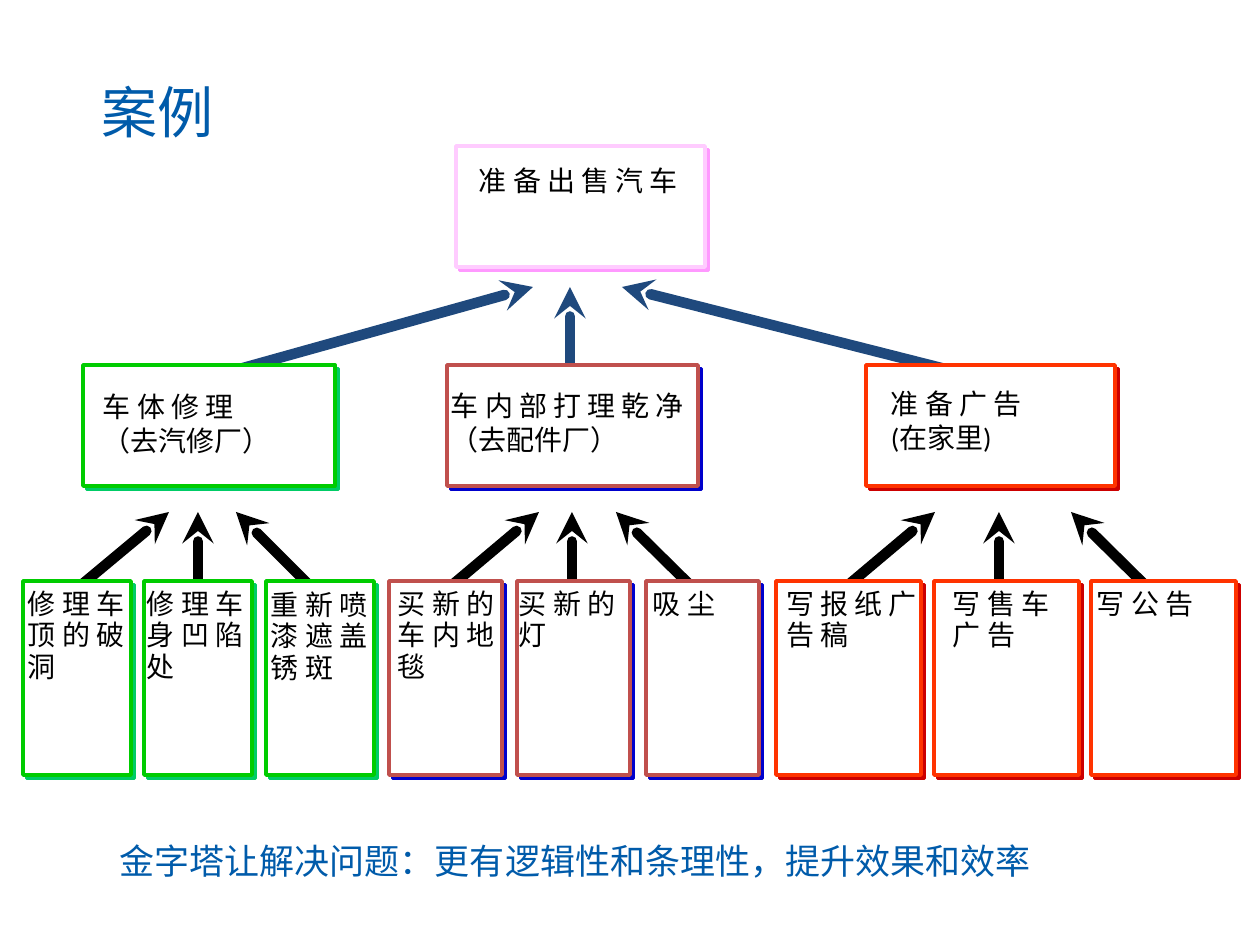
from lxml import etree
from pptx import Presentation
from pptx.dml.color import RGBColor
from pptx.enum.shapes import MSO_CONNECTOR, MSO_SHAPE
from pptx.enum.text import MSO_ANCHOR
from pptx.oxml.ns import qn
from pptx.util import Pt

PX = 914400 / 126
STRAIGHT = MSO_CONNECTOR.STRAIGHT
BOX = MSO_SHAPE.ROUNDED_RECTANGLE
MIDDLE = MSO_ANCHOR.MIDDLE

BLACK = RGBColor(0x00, 0x00, 0x00)
WHITE = RGBColor(0xFF, 0xFF, 0xFF)
BLUE = RGBColor(0x00, 0x5B, 0xAA)
NAVY = RGBColor(0x1F, 0x49, 0x7D)
PINK = RGBColor(0xFF, 0xCC, 0xFF)
PINK_SHADE = RGBColor(0xFF, 0x99, 0xFF)
GREEN = RGBColor(0x00, 0xCC, 0x00)
GREEN_SHADE = RGBColor(0x00, 0xCC, 0x66)
BRICK = RGBColor(0xC0, 0x50, 0x4D)
BLUE_SHADE = RGBColor(0x00, 0x00, 0xCC)
ORANGE = RGBColor(0xFF, 0x33, 0x00)
RED_SHADE = RGBColor(0xCC, 0x00, 0x00)

LEAF_TOP, LEAF_HEIGHT = 581, 194
BRANCH_TOP, BOX_HEIGHT = 365, 121

prs = Presentation()
prs.slide_width = round(1260 * PX)
prs.slide_height = round(945 * PX)
slide = prs.slides.add_slide(prs.slide_layouts[6])


def px(*lengths):
    return [round(length * PX) for length in lengths]


def add_text(area, lines, size=16, color=BLACK, spacing=None):
    label = slide.shapes.add_textbox(*px(*area))
    frame = label.text_frame
    frame.word_wrap = True
    if spacing:
        frame.margin_left = frame.margin_right = 0
    for number, line in enumerate(lines):
        paragraph = frame.paragraphs[0] if number == 0 else frame.add_paragraph()
        if spacing:
            paragraph.line_spacing = Pt(spacing)
        run = paragraph.add_run()
        run.text = line
        run.font.name = "Calibri"
        run.font.size = Pt(size)
        run.font.color.rgb = color
    return frame


arrows = [
    (168, 389, 533, 287, NAVY),
    (570, 406, 570, 287, NAVY),
    (969, 375, 622, 287, NAVY),
]
for left_start, left_end, center, right_start, right_end in [
    (73, 169, 198, 316, 236),
    (444, 539, 572, 697, 616),
    (840, 935, 999, 1152, 1071),
]:
    arrows += [
        (left_start, 592, left_end, 512, BLACK),
        (center, 629, center, 512, BLACK),
        (right_start, 592, right_end, 512, BLACK),
    ]

for x1, y1, x2, y2, color in arrows:
    arrow = slide.shapes.add_connector(STRAIGHT, *px(x1, y1, x2, y2))
    arrow.line.color.rgb = color
    arrow.line.width = Pt(6)
    outline = arrow.line._get_or_add_ln()
    outline.set("cap", "rnd")
    etree.SubElement(outline, qn("a:round"))
    etree.SubElement(outline, qn("a:tailEnd"), type="stealth")
    etree.SubElement(arrow._element.spPr, qn("a:effectLst"))

boxes = [
    (456, 146, 249, BOX_HEIGHT, PINK, PINK_SHADE),
    (83, BRANCH_TOP, 252, BOX_HEIGHT, GREEN, GREEN_SHADE),
    (447, BRANCH_TOP, 251, BOX_HEIGHT, BRICK, BLUE_SHADE),
    (866, BRANCH_TOP, 249, BOX_HEIGHT, ORANGE, RED_SHADE),
]
for lefts, width, border, shade in [
    ((23, 144, 266), 108, GREEN, GREEN_SHADE),
    ((389, 517, 646), 113, BRICK, BLUE_SHADE),
    ((776, 934, 1091), 145, ORANGE, RED_SHADE),
]:
    for left in lefts:
        boxes.append((left, LEAF_TOP, width, LEAF_HEIGHT, border, shade))

for left, top, width, height, border, shade in boxes:
    box = slide.shapes.add_shape(BOX, *px(left, top, width, height))
    box.adjustments[0] = 0
    box.fill.solid()
    box.fill.fore_color.rgb = WHITE
    box.line.color.rgb = border
    box.line.width = Pt(2)
    box.shadow.inherit = False
    effects = box._element.spPr.find(qn("a:effectLst"))
    shadow = etree.SubElement(
        effects, qn("a:outerShdw"), dist=str(Pt(3)), dir="2700000", algn="ctr", rotWithShape="0"
    )
    etree.SubElement(shadow, qn("a:srgbClr"), val=str(shade))

for left, top, width, lines in [
    (479, 156, 223, ["准 备 出 售 汽 车"]),
    (103, 382, 217, ["车 体 修 理", "（去汽修厂）"]),
    (451, 381, 252, ["车 内 部 打 理 乾 净", "（去配件厂）"]),
    (891, 379, 155, ["准 备 广 告", "(在家里)"]),
]:
    add_text((left, top, width, 67), lines, spacing=19.8)

for left, top, width, task in [
    (28, 582, 117, "修 理 车 顶 的 破 洞"),
    (147, 582, 115, "修 理 车 身 凹 陷 处"),
    (271, 583, 118, "重 新 喷 漆 遮 盖 锈 斑"),
    (398, 582, 103, "买 新 的 车 内 地 毯"),
    (519, 582, 111, "买 新 的 灯"),
    (653, 582, 123, "吸 尘"),
    (786, 582, 135, "写 报 纸 广 告 稿"),
    (953, 582, 121, "写 售 车 广 告"),
    (1097, 582, 155, "写 公 告"),
]:
    add_text((left, top, width, 156), [task], spacing=18)

add_text((107, 833, 1090, 55), ["金字塔让解决问题：更有逻辑性和条理性，提升效果和效率"], 20, BLUE)
title = add_text((89, 33, 1134, 157), ["案例"], 32, BLUE)
title.vertical_anchor = MIDDLE

prs.save("out.pptx")
